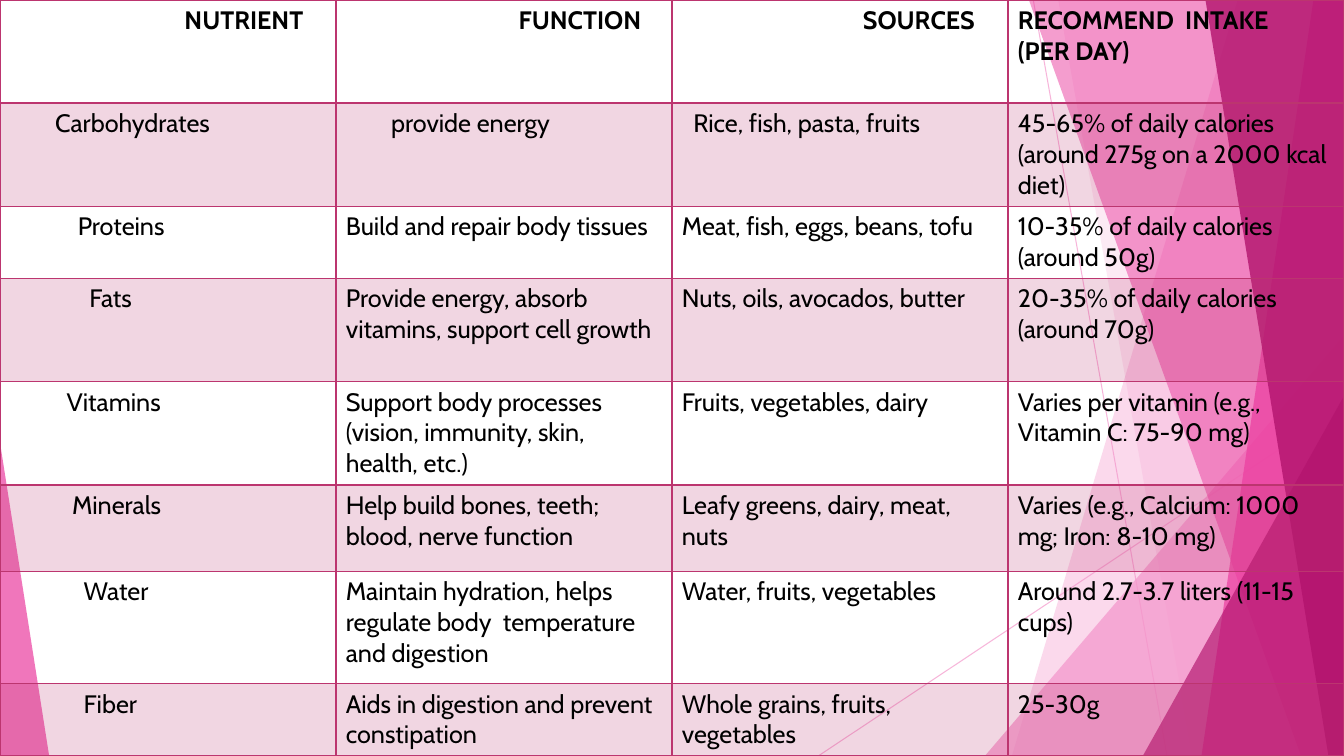
from dataclasses import dataclass

from lxml import etree
from pptx import Presentation
from pptx import util as u
from pptx.dml import color
from pptx.enum import shapes, text
from pptx.oxml import ns

COLORS = {
    "light": "F496CB",
    "pink": "EB3D9F",
    "magenta": "B2136D",
    "rose": "BC356F",
    "ink": "000000",
}
WIDTH, HEIGHT = 33.87, 19.05
FONT = "Cabin"
NO_GRID_STYLE = "{2D5ABB26-0587-4C30-8999-92F81FD0307C}"


@dataclass
class Ray:
    start: tuple[float, float]
    end: tuple[float, float]


@dataclass
class Band:
    top_x: float
    bottom_x: float
    color: str
    opacity: int


@dataclass
class Corner:
    left: float
    top: float
    width: float
    peak: float
    color: str
    opacity: int


@dataclass
class Nutrient:
    height: float
    cells: tuple[str, str, str, str]
    indents: tuple[float, float, float, float]


PLAIN = 0.25
FACETS = [
    Ray((26.04, 0), (29.41, HEIGHT)),
    Ray((WIDTH, 10.24), (20.62, HEIGHT)),
    Band(31.19, 25.5, "light", 36),
    Band(26.67, 30.05, "light", 20),
    Corner(24.82, 8.46, 9.05, 1, "light", 72),
    Band(25.93, 32.79, "pink", 50),
    Band(33.1, 30.28, "pink", 70),
    Band(30.38, 33.48, "magenta", 80),
    Corner(28.8, 9.98, 5.07, 1, "magenta", 66),
    Corner(0, 11.15, 1.24, 0, "pink", 70),
]
NUTRIENTS = [
    Nutrient(2.6, ("NUTRIENT", "FUNCTION", "SOURCES", "RECOMMEND  INTAKE\n(PER DAY)"),
             (4.08, 4.08, 4.23, PLAIN)),
    Nutrient(2.6, ("Carbohydrates", "provide energy", "Rice, fish, pasta, fruits",
                   "45-65% of daily calories (around 275g on a 2000 kcal diet)"),
             (1.39, 1.39, 0.54, PLAIN)),
    Nutrient(1.82, ("Proteins", "Build and repair body tissues",
                    "Meat, fish, eggs, beans, tofu",
                    "10-35% of daily calories (around 50g)"),
             (1.96, PLAIN, PLAIN, PLAIN)),
    Nutrient(2.6, ("Fats", "Provide energy, absorb vitamins, support cell growth",
                   "Nuts, oils, avocados, butter",
                   "20-35% of daily calories (around 70g)"),
             (2.25, PLAIN, PLAIN, PLAIN)),
    Nutrient(2.6, ("Vitamins",
                   "Support body processes (vision, immunity, skin, health, etc.)",
                   "Fruits, vegetables, dairy",
                   "Varies per vitamin (e.g., Vitamin C: 75-90 mg)"),
             (1.68, PLAIN, PLAIN, PLAIN)),
    Nutrient(2.18, ("Minerals", "Help build bones, teeth; blood, nerve function",
                    "Leafy greens, dairy, meat, nuts",
                    "Varies (e.g., Calcium: 1000 mg; Iron: 8-10 mg)"),
             (1.82, PLAIN, PLAIN, PLAIN)),
    Nutrient(2.83, ("Water",
                    "Maintain hydration, helps regulate body  temperature and digestion",
                    "Water, fruits, vegetables",
                    "Around 2.7-3.7 liters (11-15 cups)"),
             (2.11, PLAIN, PLAIN, PLAIN)),
    Nutrient(1.82, ("Fiber", "Aids in digestion and prevent constipation",
                    "Whole grains, fruits, vegetables", "25-30g"),
             (2.11, PLAIN, PLAIN, PLAIN)),
]


def rgb(name: str) -> color.RGBColor:
    return color.RGBColor.from_string(COLORS[name])


def set_opacity(element, percent: int) -> None:
    for tint in element.iter(ns.qn("a:srgbClr")):
        etree.SubElement(tint, ns.qn("a:alpha"), val=str(percent * 1000))


def draw_ray(slide, ray: Ray) -> None:
    line = slide.shapes.add_connector(
        shapes.MSO_CONNECTOR.STRAIGHT, *map(u.Cm, ray.start + ray.end))
    line.line.color.rgb = rgb("light")
    line.line.width = u.Pt(0.75)
    properties = line._element.spPr
    set_opacity(properties, 70)
    etree.SubElement(properties, ns.qn("a:effectLst"))


def draw_facet(slide, facet: Band | Corner) -> None:
    if isinstance(facet, Band):
        builder = slide.shapes.build_freeform(u.Cm(facet.top_x), 0)
        outline = [(WIDTH, 0), (WIDTH, HEIGHT), (facet.bottom_x, HEIGHT)]
        builder.add_line_segments([(u.Cm(x), u.Cm(y)) for x, y in outline], close=True)
        pane = builder.convert_to_shape()
    else:
        pane = slide.shapes.add_shape(
            shapes.MSO_SHAPE.ISOSCELES_TRIANGLE, u.Cm(facet.left), u.Cm(facet.top),
            u.Cm(facet.width), u.Cm(HEIGHT - facet.top))
        pane.adjustments[0] = facet.peak
    pane.shadow.inherit = False
    pane.fill.solid()
    pane.fill.fore_color.rgb = rgb(facet.color)
    pane.line.fill.background()
    set_opacity(pane._element.spPr, facet.opacity)


def set_borders(cell, top: int, bottom: int) -> None:
    properties = cell._tc.get_or_add_tcPr()
    sides = {"lnL": 1, "lnR": 1, "lnT": top, "lnB": bottom}
    for position, (side, points) in enumerate(sides.items()):
        edge = etree.Element(ns.qn(f"a:{side}"), w=str(u.Pt(points)))
        paint = etree.SubElement(edge, ns.qn("a:solidFill"))
        etree.SubElement(paint, ns.qn("a:srgbClr"), val=COLORS["rose"])
        properties.insert(position, edge)


def fill_cell(cell, content: str, indent: float, row: int, column: int) -> None:
    cell.text = content
    cell.margin_left = u.Cm(indent)
    for paragraph in cell.text_frame.paragraphs:
        paragraph.font.name = FONT
        paragraph.font.size = u.Pt(18)
        paragraph.font.bold = row == 0
        paragraph.font.color.rgb = rgb("ink")
        if row == 0 and column < 3:
            paragraph.alignment = text.PP_ALIGN.CENTER
    if row % 2:
        cell.fill.solid()
        cell.fill.fore_color.rgb = rgb("rose")
        set_opacity(cell._tc.tcPr, 20)
    else:
        cell.fill.background()
    set_borders(cell, 2 if row == 1 else 1, 2 if row == 0 else 1)


def draw_nutrients(slide, nutrients: list[Nutrient]) -> None:
    guide = slide.shapes.add_table(
        len(nutrients), 4, 0, 0, u.Cm(WIDTH), u.Cm(HEIGHT)).table
    guide.first_row = guide.horz_banding = False
    guide._tbl.tblPr.find(ns.qn("a:tableStyleId")).text = NO_GRID_STYLE
    for column in guide.columns:
        column.width = u.Cm(WIDTH / 4)
    for row, nutrient in enumerate(nutrients):
        guide.rows[row].height = u.Cm(nutrient.height)
        for column, (content, indent) in enumerate(zip(nutrient.cells, nutrient.indents)):
            fill_cell(guide.cell(row, column), content, indent, row, column)


def main() -> None:
    deck = Presentation()
    deck.slide_width, deck.slide_height = u.Cm(WIDTH), u.Cm(HEIGHT)
    slide = deck.slides.add_slide(deck.slide_layouts[6])
    for facet in FACETS:
        if isinstance(facet, Ray):
            draw_ray(slide, facet)
        else:
            draw_facet(slide, facet)
    draw_nutrients(slide, NUTRIENTS)
    deck.save("out.pptx")


if __name__ == "__main__":
    main()
